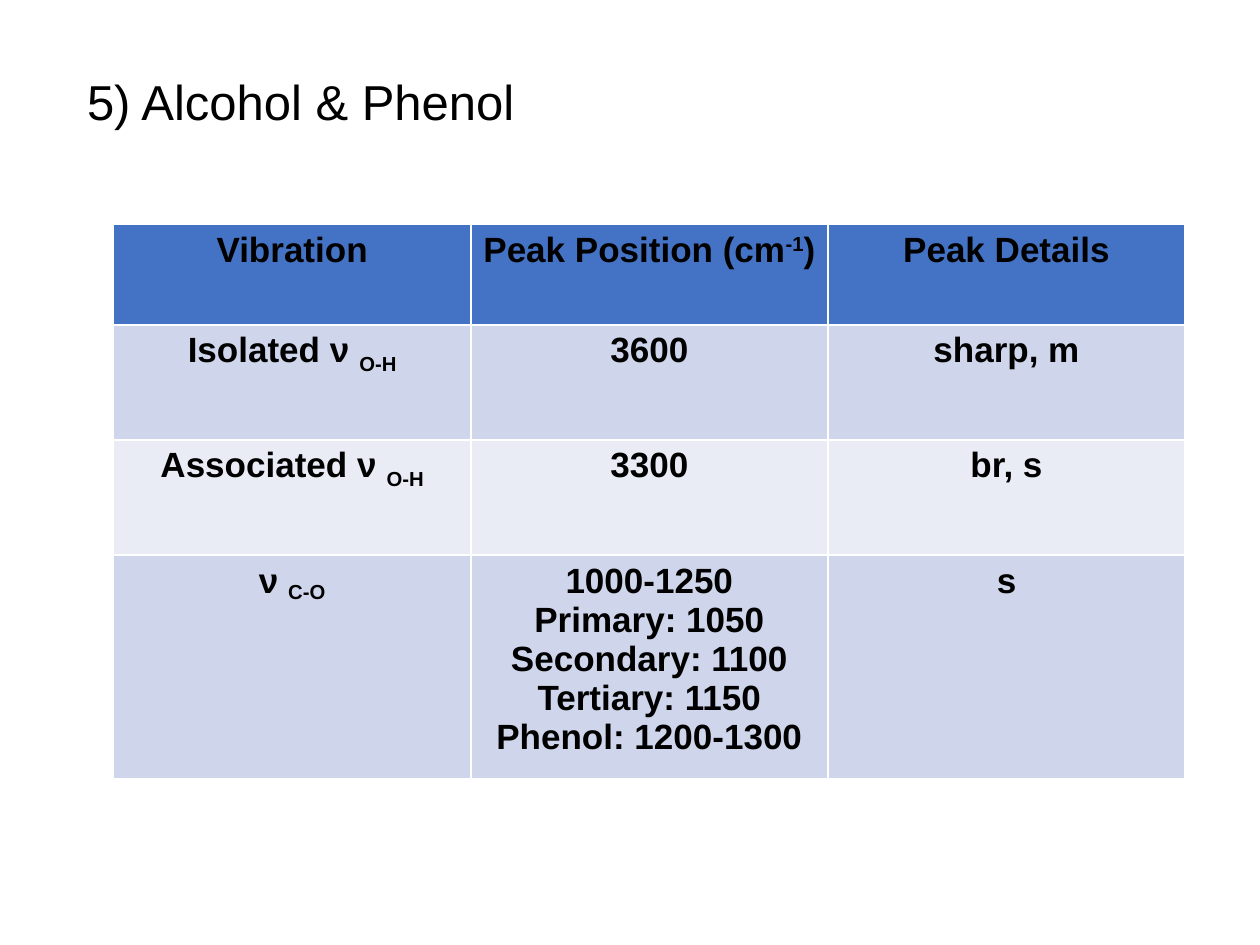
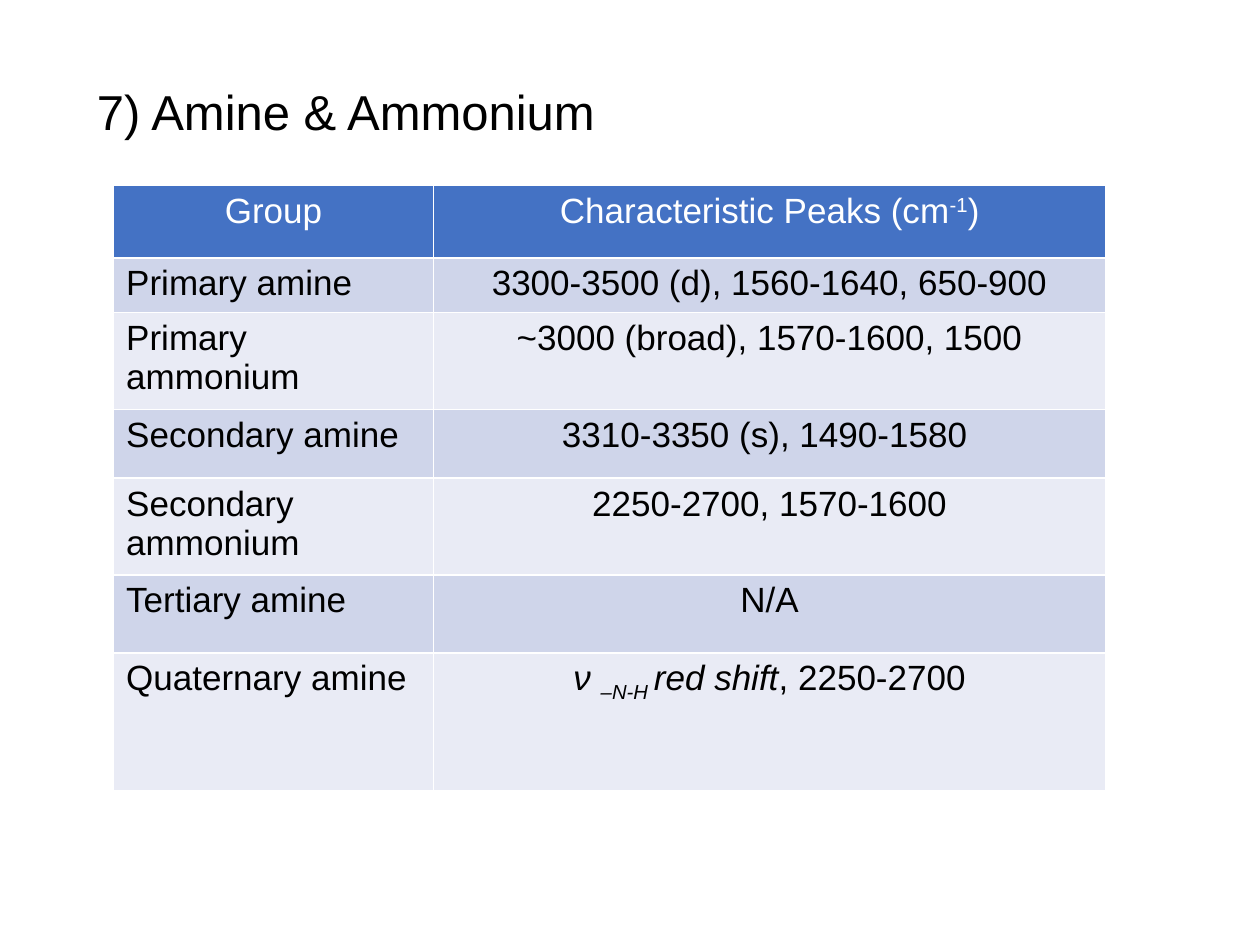
from pptx import Presentation
from pptx.dml.color import RGBColor
from pptx.enum.text import MSO_ANCHOR, MSO_AUTO_SIZE, PP_ALIGN
from pptx.util import Cm, Pt

FONT = "Arial"
BLACK, WHITE = "000000", "FFFFFF"
HEAD, BANDS = "4472C4", ("CFD5EA", "E9EBF5")
LEFT = 2.29

SUP = {"base": 30}
SUB = {"base": -25}
LOW = {"base": -18}
SLANT = {"italic": True}

# A cell is a list of lines, a line is a list of runs: (text, format).
ALCOHOL = [
    ["Vibration", [[("Peak Position (cm", {}), ("-1", SUP), (")", {})]], "Peak Details"],
    [[[("Isolated ν ", {}), ("O-H", SUB)]], "3600", "sharp, m"],
    [[[("Associated ν ", {}), ("O-H", SUB)]], "3300", "br, s"],
    [[[("ν ", {}), ("C-O", LOW)]],
     ["1000-1250", "Primary: 1050", "Secondary: 1100", "Tertiary: 1150",
      "Phenol: 1200-1300"],
     "s"],
]
AMINE = [
    ["Group", [[("Characteristic Peaks (cm", {}), ("-1", SUP), (")", {})]]],
    ["Primary amine", "3300-3500 (d), 1560-1640, 650-900"],
    ["Primary ammonium", "~3000 (broad), 1570-1600, 1500"],
    ["Secondary amine", "3310-3350 (s), 1490-1580 "],
    ["Secondary ammonium", "2250-2700, 1570-1600"],
    ["Tertiary amine", "N/A"],
    ["Quaternary amine",
     [[("ν ", SLANT), ("–N-H ", SUB | SLANT), ("red shift", SLANT),
       (", 2250-2700", {})]]],
]


def tint(code):
    return RGBColor.from_string(code)


def style(run, color, base=0, **format):
    run.font.color.rgb = tint(color)
    for name, value in ({"name": FONT} | format).items():
        setattr(run.font, name, value)
    if base:
        run.font._element.set("baseline", str(base * 1000))


def add_title(slide, text, *box):
    """Place the title; box is left, top, width and height in cm."""
    title = slide.shapes.title
    for name, value in zip(("left", "top", "width", "height"), box):
        setattr(title, name, Cm(value))
    frame = title.text_frame
    setup = {"word_wrap": True, "auto_size": MSO_AUTO_SIZE.NONE,
             "vertical_anchor": MSO_ANCHOR.TOP}
    for name, value in setup.items():
        setattr(frame, name, value)
    line = frame.paragraphs[0]
    line.alignment = PP_ALIGN.LEFT
    run = line.add_run()
    run.text = text
    style(run, BLACK, size=Pt(28), bold=False)


def fill_cell(cell, lines, back, color, align, bold):
    cell.fill.solid()
    cell.fill.fore_color.rgb = tint(back)
    frame = cell.text_frame
    for i, runs in enumerate([lines] if isinstance(lines, str) else lines):
        line = frame.add_paragraph() if i else frame.paragraphs[0]
        line.alignment = align
        for text, format in [(runs, {})] if isinstance(runs, str) else runs:
            run = line.add_run()
            run.text = text
            style(run, color, size=Pt(20), bold=bold, **format)


def add_grid(slide, data, top, widths, heights, ink=BLACK, bold=False,
             side=PP_ALIGN.CENTER):
    """Add a banded table; ink colours the head row, side aligns column one."""
    table = slide.shapes.add_table(
        len(heights), len(widths), Cm(LEFT), Cm(top),
        Cm(sum(widths)), Cm(sum(heights))).table
    for col, width in zip(table.columns, widths):
        col.width = Cm(width)
    for r, (cells, height) in enumerate(zip(data, heights)):
        table.rows[r].height = Cm(height)
        back = BANDS[(r - 1) % 2] if r else HEAD
        for c, lines in enumerate(cells):
            align = side if r and not c else PP_ALIGN.CENTER
            fill_cell(table.cell(r, c), lines, back, BLACK if r else ink, align, bold)


def main():
    deck = Presentation()
    deck.slide_width, deck.slide_height = Cm(25.4), Cm(19.05)
    plain = deck.slide_layouts[5]

    slide = deck.slides.add_slide(plain)
    add_title(slide, "5) Alcohol & Phenol", 1.5, 1.32, 10.4, 1.45)
    add_grid(slide, ALCOHOL, 4.52, [7.2] * 3, [2.03, 2.32, 2.32, 4.5], bold=True)

    slide = deck.slides.add_slide(plain)
    add_title(slide, "7) Amine & Ammonium", 1.7, 1.52, 22.2, 5.38)
    add_grid(slide, AMINE, 3.73, [6.45, 13.55],
             [1.47, 1.1, 1.95, 1.39, 1.95, 1.57, 2.78],
             ink=WHITE, side=PP_ALIGN.JUSTIFY)

    deck.save("out.pptx")


if __name__ == "__main__":
    main()
